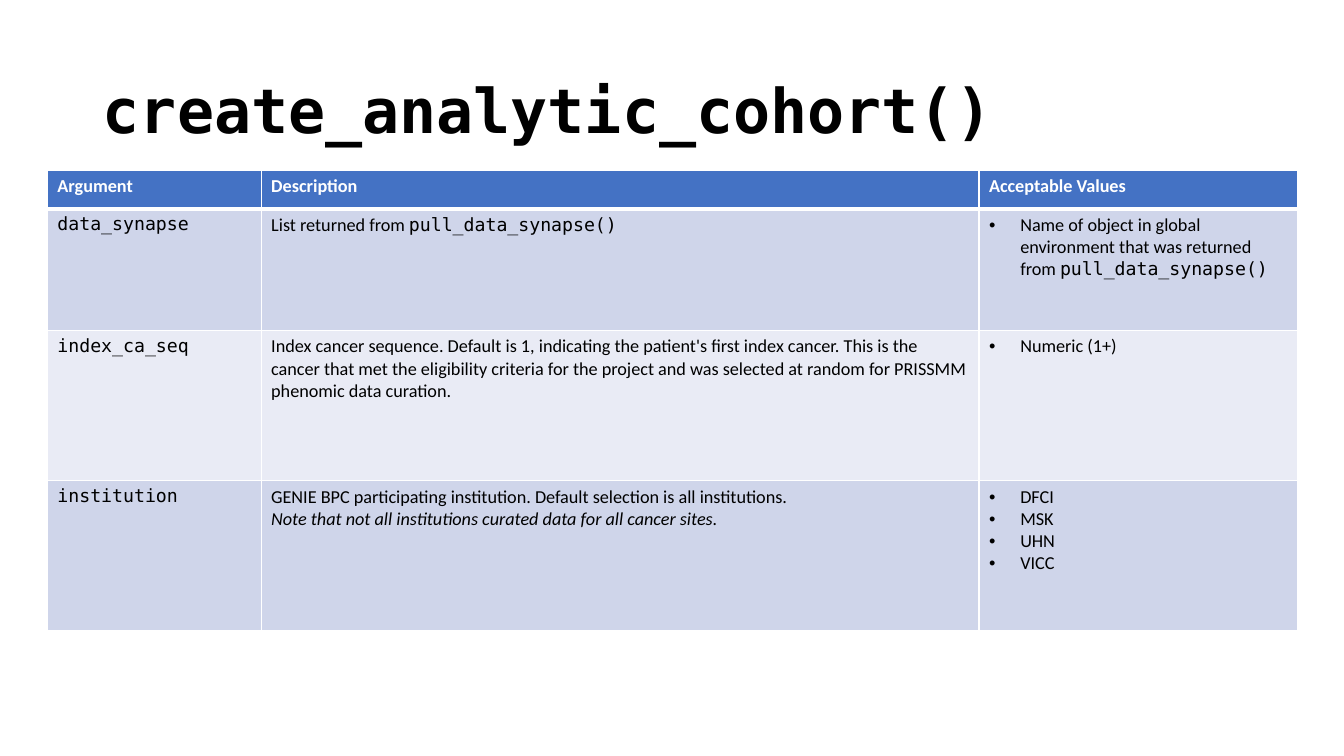
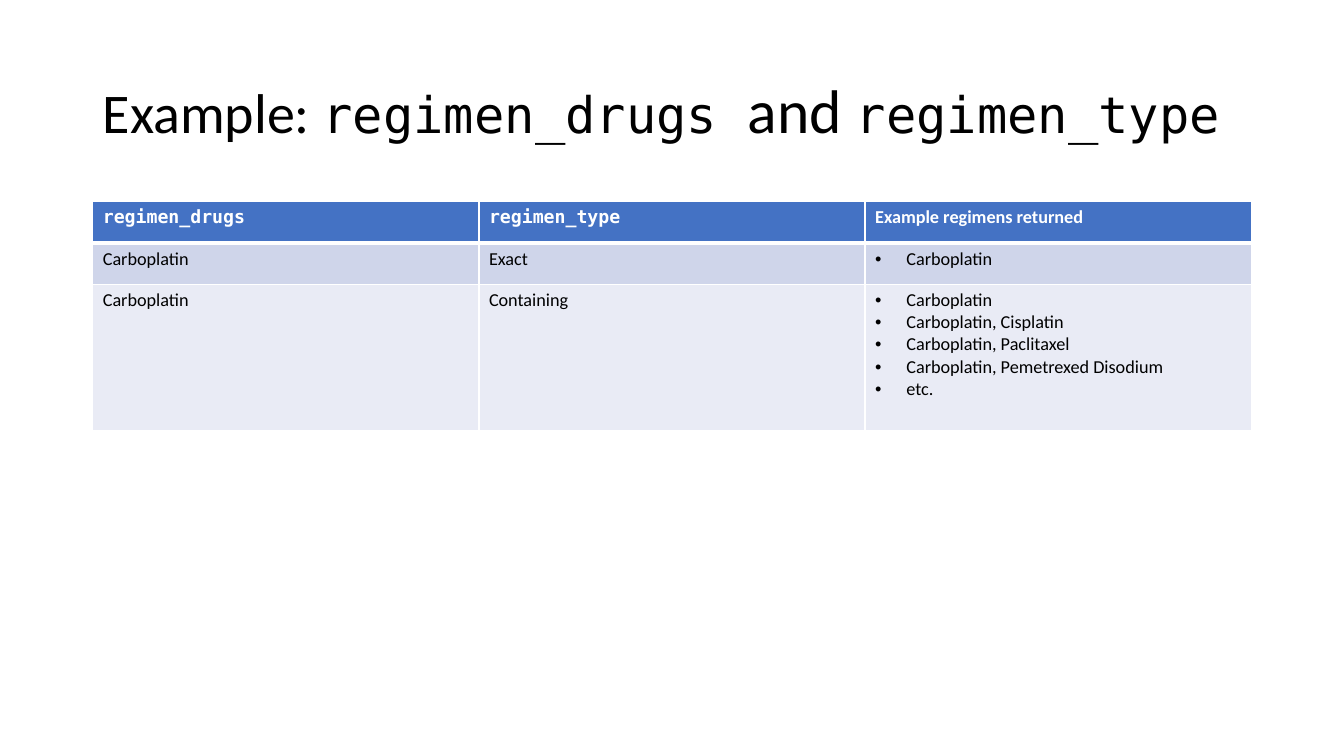
from lxml.etree import SubElement
from pptx import Presentation
from pptx.dml.color import RGBColor
from pptx.enum.text import MSO_ANCHOR, MSO_AUTO_SIZE, PP_ALIGN
from pptx.oxml.ns import qn
from pptx.util import Pt

PX = 9144  # 100 px to the inch
TITLE_ONLY = 5
SANS, MONO = "Calibri", "DejaVu Sans Mono"
BLACK, WHITE, HEADER = "000000", "FFFFFF", "4472C4"
BANDS = ("CFD5EA", "E9EBF5")


def px(length):
    return int(length * PX)


def rgb(value):
    return RGBColor.from_string(value)


def add_bullet(paragraph, indent):
    properties = paragraph._p.get_or_add_pPr()
    properties.set("marL", str(px(indent)))
    properties.set("indent", str(-px(indent)))
    SubElement(properties, qn("a:buFont"), typeface="Arial")
    SubElement(properties, qn("a:buChar"), char="•")


def add_borders(cell, top, bottom):
    """Draw white edges; top and bottom are widths in points."""
    properties = cell._tc.get_or_add_tcPr()
    for edge, width in (("L", 1), ("R", 1), ("T", top), ("B", bottom)):
        line = SubElement(properties, qn(f"a:ln{edge}"), w=str(Pt(width)))
        fill = SubElement(line, qn("a:solidFill"))
        SubElement(fill, qn("a:srgbClr"), val=WHITE)


def write_spans(paragraph, spans, color, bold=False, italic=False):
    """Write (text, font name, size) spans into one paragraph."""
    shared = paragraph.font
    shared.color.rgb = rgb(color)
    shared.bold, shared.italic = bold, italic
    for text, name, size in spans:
        run = paragraph.add_run()
        run.text = text
        font = shared if len(spans) == 1 else run.font
        font.name, font.size = name, Pt(size)


class Deck:
    title_box = (92, 40, 1150, 145)
    text_size = 13
    bullet_indent = 31

    def __init__(self):
        self.presentation = Presentation()
        self.presentation.slide_width = px(1333)
        self.presentation.slide_height = px(750)
        self.slide = None

    def add_slide(self, title_spans, bold=False):
        layout = self.presentation.slide_layouts[TITLE_ONLY]
        self.slide = self.presentation.slides.add_slide(layout)
        title = self.slide.shapes.title
        title.left, title.top, title.width, title.height = map(px, self.title_box)
        frame = title.text_frame
        frame.auto_size = MSO_AUTO_SIZE.NONE
        frame.word_wrap = True
        frame.vertical_anchor = MSO_ANCHOR.MIDDLE
        heading = frame.paragraphs[0]
        heading.alignment = PP_ALIGN.LEFT
        heading.line_spacing = 0.9
        write_spans(heading, title_spans, BLACK, bold)

    def add_table(self, left, top, widths, heights, rows):
        """Add a banded table with a header row and a bulleted last column."""
        table = self.slide.shapes.add_table(
            len(rows), len(widths), px(left), px(top),
            px(sum(widths)), px(sum(heights))).table
        for column, width in zip(table.columns, widths):
            column.width = px(width)
        for row_index, (row, height) in enumerate(zip(rows, heights)):
            table.rows[row_index].height = px(height)
            for column_index, content in enumerate(row):
                self.fill_cell(table.cell(row_index, column_index), content, row_index,
                               bulleted=row_index > 0 and column_index == len(row) - 1)

    def fill_cell(self, cell, content, row_index, bulleted):
        """Fill a cell line by line; `code` is monospaced and *a line* is italic."""
        is_header = row_index == 0
        add_borders(cell, top=3 if row_index == 1 else 1, bottom=3 if is_header else 1)
        cell.fill.solid()
        cell.fill.fore_color.rgb = rgb(HEADER if is_header else BANDS[(row_index - 1) % 2])
        frame = cell.text_frame
        for index, line in enumerate(content.split("\n")):
            paragraph = frame.add_paragraph() if index else frame.paragraphs[0]
            if bulleted:
                add_bullet(paragraph, self.bullet_indent)
            spans = [(text, MONO if part % 2 else SANS, self.text_size)
                     for part, text in enumerate(line.strip("*").split("`")) if text]
            write_spans(paragraph, spans, WHITE if is_header else BLACK,
                        bold=is_header, italic=line.startswith("*"))


def main():
    deck = Deck()

    deck.add_slide([("create_analytic_cohort()", MONO, 44)], bold=True)
    deck.add_table(47, 169, (212, 712, 316), (38, 121, 149, 149), [
        ("Argument", "Description", "Acceptable Values"),
        ("`data_synapse`",
         "List returned from `pull_data_synapse()`",
         "Name of object in global environment that was returned from `pull_data_synapse()`"),
        ("`index_ca_seq`",
         "Index cancer sequence. Default is 1, indicating the patient's first index cancer. "
         "This is the cancer that met the eligibility criteria for the project and was "
         "selected at random for PRISSMM phenomic data curation.",
         "Numeric (1+)"),
        ("`institution`",
         "GENIE BPC participating institution. Default selection is all institutions.\n"
         "*Note that not all institutions curated data for all cancer sites.*",
         "DFCI\nMSK\nUHN\nVICC"),
    ])

    deck.add_slide([("Example: ", SANS, 40), ("regimen_drugs ", MONO, 36),
                    ("and ", SANS, 44), ("regimen_type", MONO, 36)])
    deck.add_table(92, 200, (383,) * 3, (41, 41, 145), [
        ("`regimen_drugs`", "`regimen_type`", "Example regimens returned"),
        ("Carboplatin", "Exact", "Carboplatin"),
        ("Carboplatin", "Containing",
         "Carboplatin\nCarboplatin, Cisplatin\nCarboplatin, Paclitaxel\n"
         "Carboplatin, Pemetrexed Disodium\netc."),
    ])

    deck.presentation.save("out.pptx")


if __name__ == "__main__":
    main()
